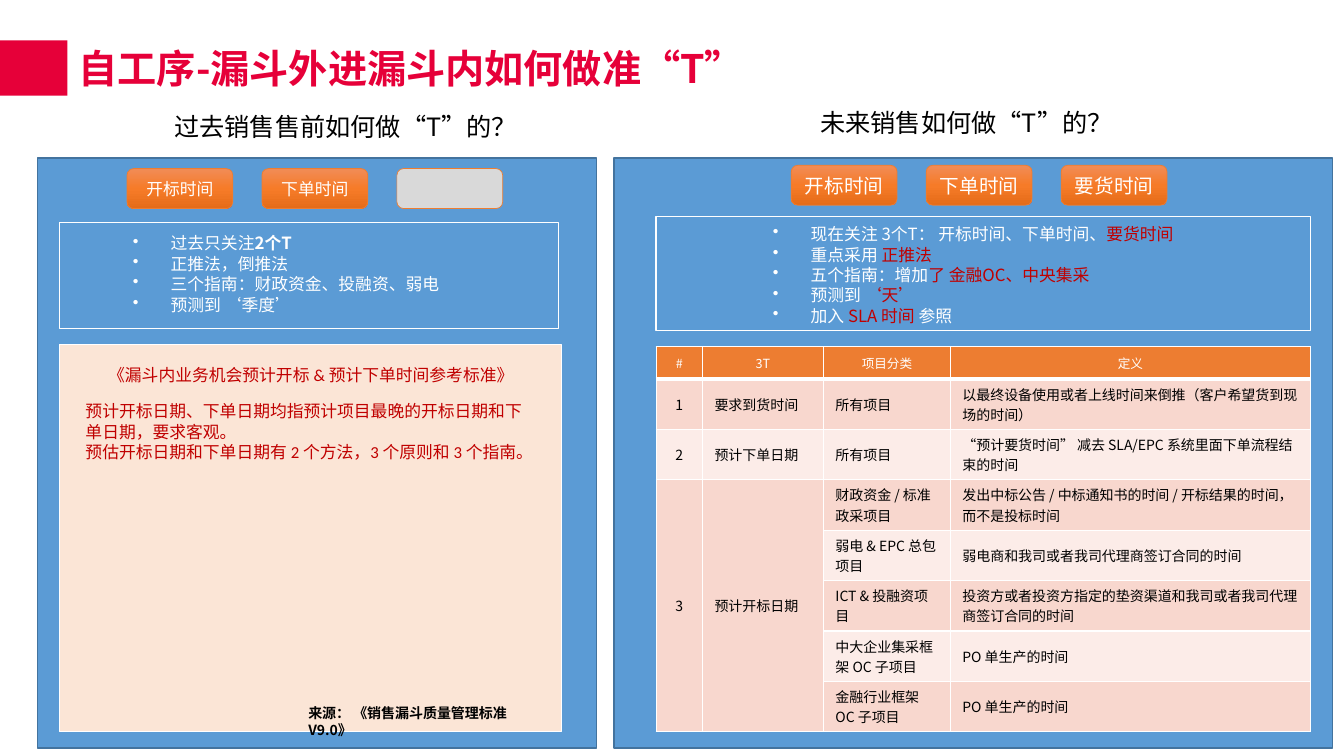
from copy import deepcopy
from dataclasses import dataclass

from lxml import etree
from pptx import Presentation
from pptx import util as u
from pptx.dml import color as dml
from pptx.enum import shapes, text
from pptx.oxml import ns

CJK = "Noto Sans CJK SC"
WHITE, BLACK, RED, CRIMSON = "FFFFFF", "000000", "C00000", "E60039"
PANEL, ORANGE, GREY = "5B9BD5", "ED7D31", "D9D9D9"
CENTER, LEFT = text.PP_ALIGN.CENTER, text.PP_ALIGN.LEFT
BUTTON_STOPS = [(0, "F18C57"), (0.5, "F67B28"), (1, "E56C19")]


@dataclass
class Area:
    left: float
    top: float
    width: float
    height: float

    def lengths(self) -> list:
        return [u.Pt(n) for n in (self.left, self.top, self.width, self.height)]


@dataclass
class Span:
    words: str
    color: str = WHITE
    bold: bool = False


@dataclass
class Style:
    size: float
    pitch: float
    font: str = CJK
    align: object = LEFT
    bullet: bool = False


@dataclass
class ButtonRow:
    left: float
    top: float
    size: float
    labels: list


@dataclass
class Note:
    area: Area
    style: Style
    lines: list


def rgb(value: str) -> dml.RGBColor:
    return dml.RGBColor.from_string(value)


def format_run(run, span: Span, size: float, font: str) -> None:
    run.font.size = u.Pt(size)
    run.font.bold = span.bold
    run.font.color.rgb = rgb(span.color)
    run.font.name = font
    properties = run._r.get_or_add_rPr()
    properties.set("lang", "zh-CN")
    etree.SubElement(properties, ns.qn("a:ea"), typeface=CJK)


def write_line(para, spans: list, style: Style) -> None:
    if style.bullet:
        properties = para._p.get_or_add_pPr()
        properties.set("marL", str(u.Pt(27)))
        properties.set("indent", str(u.Pt(-27)))
        etree.SubElement(properties, ns.qn("a:buChar"), char="•")
    para.alignment = style.align
    para.line_spacing = u.Pt(style.pitch)
    for span in spans:
        run = para.add_run()
        run.text = span.words
        format_run(run, span, style.size, style.font)


def add_box(slide, area: Area, fill: str = "", line: str = "", width: float = 1,
            kind=shapes.MSO_SHAPE.RECTANGLE):
    box = slide.shapes.add_shape(kind, *area.lengths())
    box.shadow.inherit = False
    if fill:
        box.fill.solid()
        box.fill.fore_color.rgb = rgb(fill)
    else:
        box.fill.background()
    if line:
        box.line.color.rgb = rgb(line)
        box.line.width = u.Pt(width)
    else:
        box.line.fill.background()
    return box


def add_note(slide, note: Note):
    frame = slide.shapes.add_textbox(*note.area.lengths()).text_frame
    frame.word_wrap = True
    for index, spans in enumerate(note.lines):
        para = frame.add_paragraph() if index else frame.paragraphs[0]
        write_line(para, spans, note.style)
    return frame


def add_buttons(slide, row: ButtonRow) -> None:
    for index, label in enumerate(row.labels):
        area = Area(row.left + 96.4 * index, row.top, 75.6, 28.6)
        button = add_box(slide, area, GREY, ORANGE, 0.5, shapes.MSO_SHAPE.ROUNDED_RECTANGLE)
        if not label:
            continue
        button.fill.gradient()
        button.fill.gradient_angle = 270
        stops = button._element.spPr.find(".//" + ns.qn("a:gsLst"))
        stops.insert(1, deepcopy(stops[0]))
        for stop, (position, color) in zip(button.fill.gradient_stops, BUTTON_STOPS):
            stop.position = position
            stop.color.rgb = rgb(color)
        frame = button.text_frame
        frame.vertical_anchor = text.MSO_ANCHOR.MIDDLE
        style = Style(row.size, row.size * 1.2, "Calibri", CENTER)
        write_line(frame.paragraphs[0], [Span(label)], style)


def add_borders(cell, top: float, bottom: float) -> None:
    properties = cell._tc.get_or_add_tcPr()
    for side, width in (("L", 1), ("R", 1), ("T", top), ("B", bottom)):
        edge = etree.SubElement(properties, ns.qn("a:ln" + side), w=str(u.Pt(width)))
        solid = etree.SubElement(edge, ns.qn("a:solidFill"))
        etree.SubElement(solid, ns.qn("a:srgbClr"), val=WHITE)


def add_definitions(slide, rows: list) -> None:
    area = Area(468.7, 247.7, 467.3, 275)
    table = slide.shapes.add_table(len(rows), 4, *area.lengths()).table
    for column, width in zip(table.columns, (33.1, 86.4, 90.7, 257.1)):
        column.width = u.Pt(width)
    for r, labels in enumerate(rows):
        table.rows[r].height = u.Pt(36 if r else 23)
        band = ("FCECE8", "F8D7CE")[r % 2] if r else ORANGE
        for c, label in enumerate(labels):
            cell = table.cell(r, c)
            add_borders(cell, 3 if r == 1 else 1, 1 if r else 3)
            cell.fill.solid()
            cell.fill.fore_color.rgb = rgb(band)
            cell.vertical_anchor = text.MSO_ANCHOR.MIDDLE
            cell.margin_left = cell.margin_right = u.Pt(8.6)
            cell.margin_top = cell.margin_bottom = u.Pt(3.5)
            if label:
                style = Style(10 if r else 9, 14.4 if r else 13,
                              align=LEFT if r and c else CENTER)
                write_line(cell.text_frame.paragraphs[0], [Span(label, BLACK if r else WHITE)], style)
    for c in (0, 1):
        table.cell(3, c).merge(table.cell(7, c))


HEADING, BULLET, BODY = Style(18, 23), Style(12, 14.6, bullet=True), Style(12, 14.6, "Calibri")
HEADINGS = [
    Note(Area(117.4, 74.9, 267.8, 29), HEADING, [[Span("过去销售售前如何做“T”的？", BLACK)]]),
    Note(Area(578.9, 72, 267.8, 29), HEADING, [[Span("未来销售如何做“T”的？", BLACK)]]),
]
BULLETS = [
    Note(Area(545, 156.2, 352, 80), BULLET, [
        [Span("现在关注 3个T： 开标时间、下单时间、"), Span("要货时间", RED)],
        [Span("重点采用 "), Span("正推法", RED)],
        [Span("五个指南：增加"), Span("了 金融OC、中央集采", RED)],
        [Span("预测到 "), Span("‘天’", RED)],
        [Span("加入 "), Span("SLA 时间 ", RED), Span("参照")]]),
    Note(Area(87.8, 162.7, 250, 66), BULLET, [
        [Span("过去只关注"), Span("2个T", bold=True)],
        [Span("正推法，倒推法")],
        [Span("三个指南：财政资金、投融资、弱电")],
        [Span("预测到 ‘季度’")]]),
]
STANDARD = Note(Area(54, 257, 336.2, 92), BODY, [
    [Span("《漏斗内业务机会预计开标 & 预计下单时间参考标准》", RED)],
    [Span("预计开标日期、下单日期均指预计项目最晚的开标日期和下单日期，要求客观。", RED)],
    [Span("预估开标日期和下单日期有 2 个方法，3 个原则和 3 个指南。", RED)]])
SOURCE = Note(Area(213.1, 499.7, 178, 32), Style(10, 12.2),
              [[Span("来源： 《销售漏斗质量管理标准V9.0》", BLACK, True)]])
BUTTONS = [ButtonRow(90.7, 120.4, 12, ["开标时间", "下单时间", ""]),
           ButtonRow(565.2, 118, 14, ["开标时间", "下单时间", "要货时间"])]
DEFINITIONS = [
    ["#", "3T", "项目分类", "定义"],
    ["1", "要求到货时间", "所有项目", "以最终设备使用或者上线时间来倒推（客户希望货到现场的时间）"],
    ["2", "预计下单日期", "所有项目", "“预计要货时间” 减去 SLA/EPC 系统里面下单流程结束的时间"],
    ["3", "预计开标日期", "财政资金 / 标准政采项目",
     "发出中标公告 / 中标通知书的时间 / 开标结果的时间，而不是投标时间"],
    ["", "", "弱电 & EPC 总包项目", "弱电商和我司或者我司代理商签订合同的时间"],
    ["", "", "ICT & 投融资项目", "投资方或者投资方指定的垫资渠道和我司或者我司代理商签订合同的时间"],
    ["", "", "中大企业集采框架 OC 子项目", "PO 单生产的时间"],
    ["", "", "金融行业框架 OC 子项目", "PO 单生产的时间"],
]


def main() -> None:
    deck = Presentation()
    deck.slide_width, deck.slide_height = u.Pt(960), u.Pt(540)
    slide = deck.slides.add_slide(deck.slide_layouts[5])
    title = slide.shapes.title
    title.left, title.top, title.width, title.height = Area(49, 28.8, 907, 39.6).lengths()
    frame = title.text_frame
    frame.text = "自工序-漏斗外进漏斗内如何做准“T”"
    frame.word_wrap = True
    frame.auto_size = text.MSO_AUTO_SIZE.NONE
    frame.vertical_anchor = text.MSO_ANCHOR.MIDDLE
    frame.paragraphs[0].alignment = LEFT
    format_run(frame.paragraphs[0].runs[0], Span("", CRIMSON, True), 28, CJK)
    add_box(slide, Area(0, 28.8, 48.2, 39.6), CRIMSON)
    for left, width in ((26.6, 399.6), (438.5, 513.4)):
        add_box(slide, Area(left, 113, width, 421.2), PANEL, "43739E")
    add_box(slide, Area(42.5, 246.2, 358.6, 276.5), "FBE5D6", WHITE)
    for area in (Area(468.7, 154.8, 467.3, 81.4), Area(42.5, 159.1, 356.4, 75.6)):
        add_box(slide, area, line=WHITE)
    for row in BUTTONS:
        add_buttons(slide, row)
    for note in HEADINGS + BULLETS + [SOURCE]:
        add_note(slide, note)
    standard = add_note(slide, STANDARD)
    standard.paragraphs[0].alignment = CENTER
    standard.paragraphs[1].space_before = u.Pt(11)
    add_definitions(slide, DEFINITIONS)
    deck.save("out.pptx")


if __name__ == "__main__":
    main()
